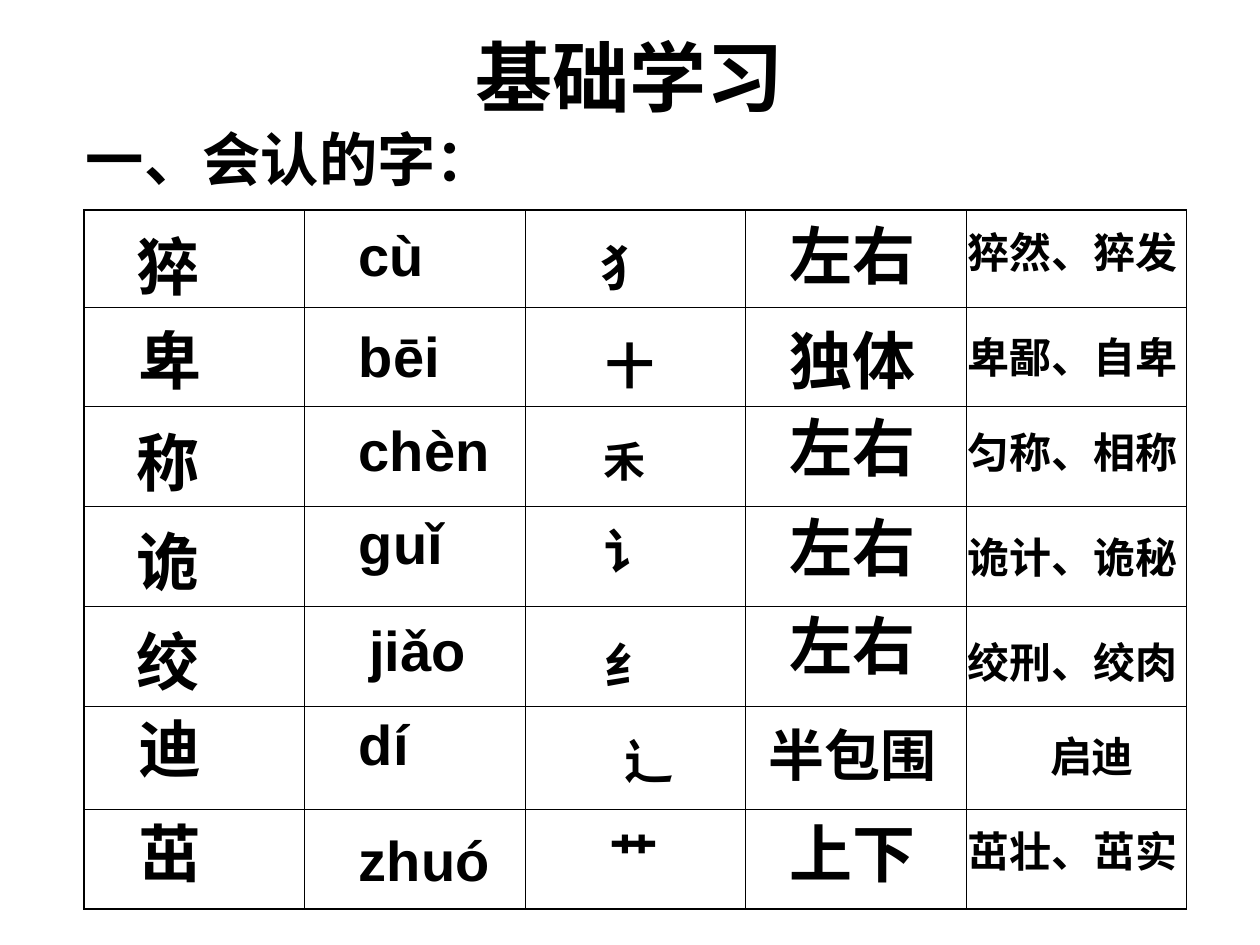
import pptx
import pptx.dml.color
import pptx.enum.text
import pptx.oxml
import pptx.oxml.ns
import pptx.util

BLACK = pptx.dml.color.RGBColor(0x00, 0x00, 0x00)
SANS, SERIF, CJK = "Arial", "Times New Roman", "Noto Sans CJK SC"
LEFT = pptx.enum.text.PP_ALIGN.LEFT
CENTER = pptx.enum.text.PP_ALIGN.CENTER
GRID_COLS, GRID_ROWS = 120, 90
THIN, THICK = 0.45, 1.08

TABLE_LEFT, TABLE_TOP, COLUMN_WIDTH = 8, 20, 21
ROW_HEIGHTS = [9.25, 9.5, 9.5, 9.5, 9.5, 9.85, 9.5]

# Each entry: text, left, top, font (grid units)
CHARACTERS = [
    ("猝", 11.8, 21.1, SERIF), ("卑", 12, 30, SERIF),
    ("称", 11.8, 39.7, SERIF), ("诡", 11.8, 49.2, SERIF),
    ("绞", 11.8, 58.7, SERIF), ("迪", 12, 67, SERIF),
    ("茁", 12, 77, SERIF),
]
PINYIN = [
    ("cù", 33, 20.4, SANS), ("bēi", 33, 30, SANS), ("chèn", 33, 39, SANS),
    ("guǐ", 33, 47.8, SANS), ("jiǎo", 34, 58, SANS), ("dí", 33, 67, SANS),
    ("zhuó", 33, 78, SANS),
]
RADICALS = [
    ("犭", 50.5, 22, CJK), ("十", 51, 31.4, CJK), ("讠", 50.9, 49, CJK),
    ("纟", 50.9, 59.9, CJK), ("辶", 52.8, 69, CJK), ("艹", 51.4, 78, CJK),
]
SMALL_RADICALS = [("禾", 50.5, 40.9, CJK)]
STRUCTURES = [
    ("左右", 74, 20, SERIF), ("独体", 74, 30, SANS), ("左右", 74, 38.3, SANS),
    ("左右", 74, 47.8, SANS), ("左右", 74, 57.2, SANS), ("上下", 74, 77, SANS),
]
LONG_STRUCTURES = [("半包围", 72, 68, SANS)]
WORDS = [
    ("猝然、猝发", 91, 21, SERIF), ("卑鄙、自卑", 91, 31, SANS),
    ("匀称、相称", 91, 40, SERIF), ("诡计、诡秘", 91, 50, SANS),
    ("绞刑、绞肉", 91, 60, SERIF), ("茁壮、茁实", 91, 78, SANS),
]
SINGLE_WORDS = [("启迪", 91, 69, SANS)]

# Each group: entries, box width, font size, alignment
GROUPS = [
    (CHARACTERS, 12.2, 36, LEFT),
    (PINYIN, 18, 32, LEFT),
    (RADICALS, 18, 28, CENTER),
    (SMALL_RADICALS, 18, 24, CENTER),
    (STRUCTURES, 17, 36, LEFT),
    (LONG_STRUCTURES, 19, 32, LEFT),
    (WORDS, 26, 24, LEFT),
    (SINGLE_WORDS, 26, 24, CENTER),
]


class SlideBuilder:
    def __init__(self, prs):
        self.slide = prs.slides.add_slide(prs.slide_layouts[6])
        self.unit_x = prs.slide_width / GRID_COLS
        self.unit_y = prs.slide_height / GRID_ROWS

    def x(self, cols):
        return round(cols * self.unit_x)

    def y(self, rows):
        return round(rows * self.unit_y)

    def text(self, text, left, top, width, size, font=SANS, align=LEFT):
        """Add one bold line in a box as tall as the line plus its insets."""
        height = size / 5 + 1.2
        sp = self.slide.shapes.add_textbox(
            self.x(left), self.y(top), self.x(width), self.y(height))
        tf = sp.text_frame
        tf.word_wrap = True
        tf.vertical_anchor = pptx.enum.text.MSO_ANCHOR.MIDDLE
        p = tf.paragraphs[0]
        p.alignment = align
        r = p.add_run()
        r.text = text
        r.font.size = pptx.util.Pt(size)
        r.font.bold = True
        r.font.color.rgb = BLACK
        r.font.name = font
        ea = pptx.oxml.parse_xml(
            f'<a:ea {pptx.oxml.ns.nsdecls("a")} typeface="{CJK}"/>')
        r.font._element.append(ea)

    def border(self, cell, side, width):
        line = pptx.oxml.parse_xml(
            f'<a:{side} {pptx.oxml.ns.nsdecls("a")} w="{pptx.util.Pt(width)}">'
            f'<a:solidFill><a:srgbClr val="{BLACK}"/></a:solidFill></a:{side}>')
        cell._tc.get_or_add_tcPr().append(line)

    def ruled_table(self, left, top, column_count, column_width, row_heights):
        """Add an unfilled table with thin inner and thick outer rules."""
        row_count = len(row_heights)
        table = self.slide.shapes.add_table(
            row_count, column_count, self.x(left), self.y(top),
            self.x(column_count * column_width), self.y(sum(row_heights))).table
        table.first_row = table.horz_banding = False
        for column in table.columns:
            column.width = self.x(column_width)
        for i, height in enumerate(row_heights):
            table.rows[i].height = self.y(height)
            for j in range(column_count):
                cell = table.cell(i, j)
                outer = {"lnL": j == 0, "lnR": j == column_count - 1,
                         "lnT": i == 0, "lnB": i == row_count - 1}
                for side, is_outer in outer.items():
                    self.border(cell, side, THICK if is_outer else THIN)
                cell.fill.background()


def main():
    prs = pptx.Presentation()
    prs.slide_width = pptx.util.Inches(10)
    prs.slide_height = pptx.util.Inches(7.5)
    s = SlideBuilder(prs)
    s.text("基础学习", 6, 2.2, 108, 44, align=CENTER)
    s.text("一、会认的字：", 7, 11.1, 67, 33.3)
    s.ruled_table(TABLE_LEFT, TABLE_TOP, 5, COLUMN_WIDTH, ROW_HEIGHTS)
    for entries, width, size, align in GROUPS:
        for text, left, top, font in entries:
            s.text(text, left, top, width, size, font, align)
    prs.save("out.pptx")


if __name__ == "__main__":
    main()
